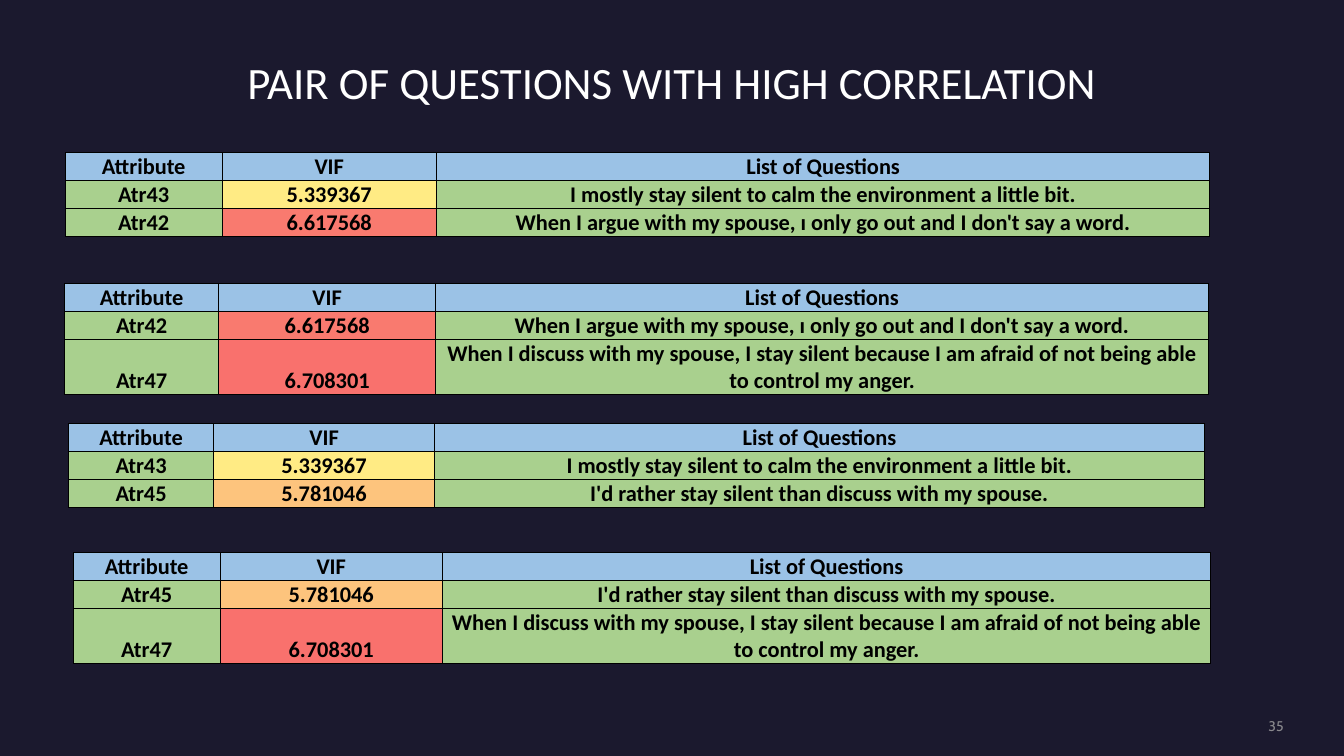
from lxml import etree
from pptx import Presentation
from pptx import util as u
from pptx.dml.color import RGBColor
from pptx.enum import text
from pptx.oxml import ns

HUES = {
    "back": "1B192E", "title": "FFFFFF", "page": "A6A6A6", "ink": "000000",
    "head": "9BC2E6", "body": "A9D08E",
    "Atr42": "F97A6F", "Atr43": "FFEB84", "Atr45": "FDC47D", "Atr47": "F9716D",
}
WIDE, HIGH = u.Inches(13.33), u.Inches(7.5)
ROW = 3.64
HEAD = ("Attribute", "VIF", "List of Questions")
ITEMS = {
    "Atr42": ("6.617568", "When I argue with my spouse, ı only go out and I don't say a word."),
    "Atr43": ("5.339367", "I mostly stay silent to calm the environment a little bit."),
    "Atr45": ("5.781046", "I'd rather stay silent than discuss with my spouse."),
    "Atr47": ("6.708301", "When I discuss with my spouse, I stay silent because I am "
              "afraid of not being able to control my anger."),
}
TALL = {"Atr47"}
PAIRS = [
    ((4.88, 20.13), (11.63, 15.98, 57.53), ("Atr43", "Atr42")),
    ((4.8, 37.47), (11.48, 16.13, 57.53), ("Atr42", "Atr47")),
    ((5.1, 56), (10.8, 16.43, 57.3), ("Atr43", "Atr45")),
    ((5.48, 73.07), (10.88, 16.58, 57.15), ("Atr45", "Atr47")),
]
CALM = dict(name="Calibri", size=u.Pt(16), bold=True)
LOUD = dict(name="Calibri", size=u.Pt(32), bold=False)
TINY = dict(name="Cabin", size=u.Pt(10), bold=False)


def across(share):
    return round(WIDE * share / 100)


def down(share):
    return round(HIGH * share / 100)


def apply(item, values):
    for key, value in values.items():
        setattr(item, key, value)


def write(para, words, font, hue, align):
    para.alignment = align
    run = para.add_run()
    run.text = words
    apply(run.font, font)
    run.font.color.rgb = RGBColor.from_string(HUES[hue])
    return run


def label(slide, box, words, font, hue, align, anchor):
    x, y, w, h = box
    frame = slide.shapes.add_textbox(across(x), down(y), across(w), down(h)).text_frame
    apply(frame, dict(word_wrap=True, vertical_anchor=anchor, margin_left=0,
                      margin_right=0, margin_top=0, margin_bottom=0))
    return write(frame.paragraphs[0], words, font, hue, align)


def title(slide, box):
    label(slide, box, "PAIR OF QUESTIONS WITH HIGH CORRELATION", LOUD, "title",
          text.PP_ALIGN.CENTER, text.MSO_ANCHOR.TOP)
    slide.shapes[-1].text_frame.paragraphs[0].line_spacing = 0.9


def number(slide, box):
    run = label(slide, box, "35", TINY, "page", text.PP_ALIGN.RIGHT, text.MSO_ANCHOR.MIDDLE)
    tint = run._r.find(".//" + ns.qn("a:srgbClr"))
    etree.SubElement(tint, ns.qn("a:alpha"), val="80000")


def border(cell):
    props = cell._tc.get_or_add_tcPr()
    for side in "LRTB":
        line = etree.SubElement(props, ns.qn("a:ln" + side), w=str(u.Pt(0.5)))
        fill = etree.SubElement(line, ns.qn("a:solidFill"))
        etree.SubElement(fill, ns.qn("a:srgbClr"), val=HUES["ink"])


def pair(slide, spot, cols, names):
    rows = [HEAD] + [(name, *ITEMS[name]) for name in names]
    steps = [ROW * (2 if row[0] in TALL else 1) for row in rows]
    grid = slide.shapes.add_table(
        len(rows), len(cols), across(spot[0]), down(spot[1]),
        across(sum(cols)), down(sum(steps))).table
    apply(grid, dict(first_row=False, horz_banding=False))
    for col, share in zip(grid.columns, cols):
        col.width = across(share)
    for r, row in enumerate(rows):
        grid.rows[r].height = down(steps[r])
        for c, words in enumerate(row):
            cell = grid.cell(r, c)
            border(cell)
            hue = "head" if r == 0 else row[0] if c == 1 else "body"
            cell.fill.solid()
            cell.fill.fore_color.rgb = RGBColor.from_string(HUES[hue])
            apply(cell, dict(vertical_anchor=text.MSO_ANCHOR.BOTTOM,
                             margin_left=u.Inches(0.01), margin_right=u.Inches(0.01),
                             margin_top=u.Inches(0.01), margin_bottom=0))
            write(cell.text_frame.paragraphs[0], words, CALM, "ink", text.PP_ALIGN.CENTER)


def main():
    deck = Presentation()
    apply(deck, dict(slide_width=WIDE, slide_height=HIGH))
    slide = deck.slides.add_slide(deck.slide_layouts[6])
    slide.background.fill.solid()
    slide.background.fill.fore_color.rgb = RGBColor.from_string(HUES["back"])
    title(slide, (4.5, 8, 91, 19.47))
    for spot, cols, names in PAIRS:
        pair(slide, spot, cols, names)
    number(slide, (81.62, 94.93, 13.88, 2.27))
    deck.save("out.pptx")


if __name__ == "__main__":
    main()
